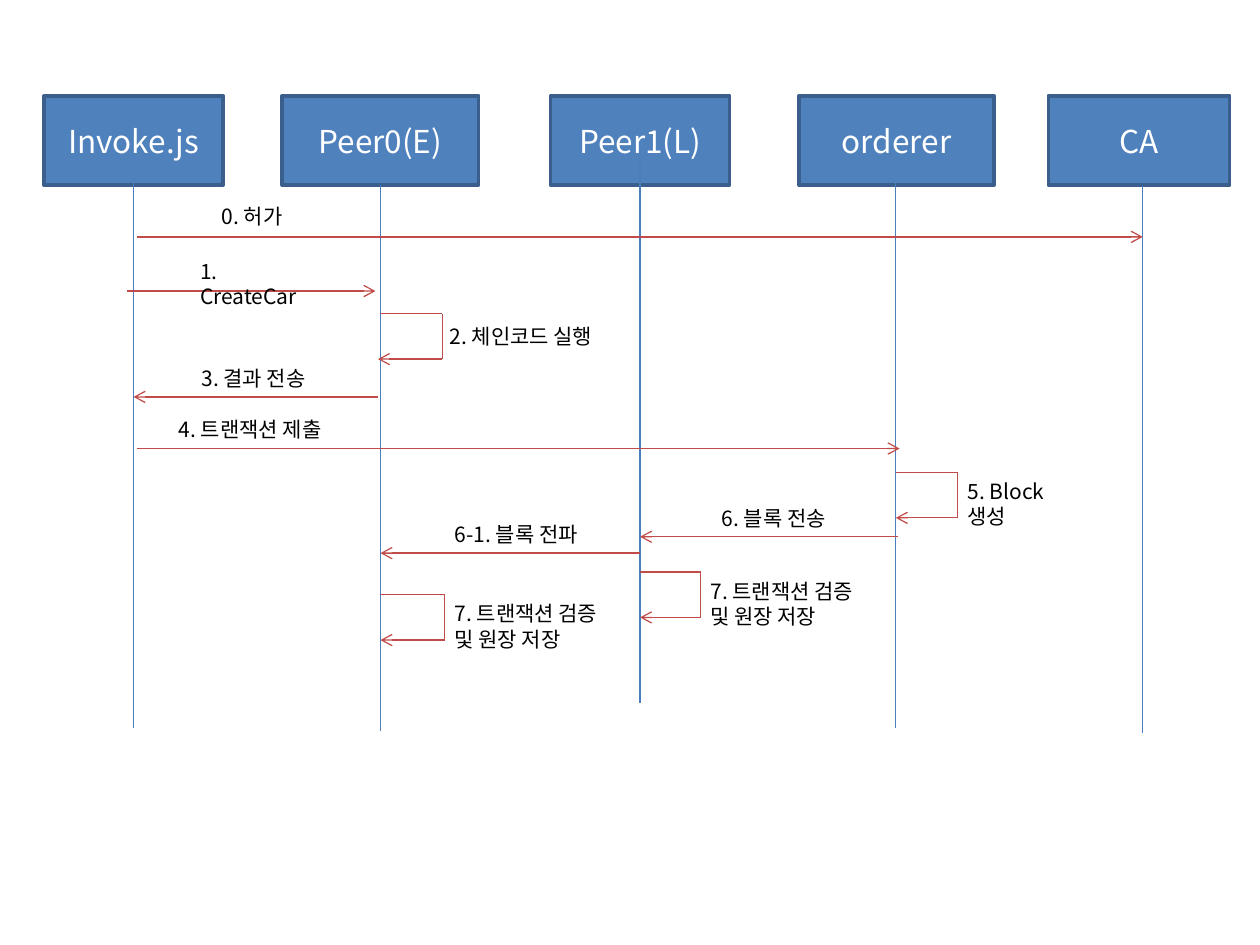
from dataclasses import dataclass

from lxml import etree
from pptx import Presentation
from pptx.dml.color import RGBColor
from pptx.enum.shapes import MSO_CONNECTOR, MSO_SHAPE
from pptx.enum.text import MSO_ANCHOR, PP_ALIGN
from pptx.oxml.ns import qn
from pptx.util import Inches, Pt


@dataclass(frozen=True)
class Theme:
    font: str = "Noto Sans CJK KR"
    head_fill: str = "4F81BD"
    head_line: str = "3A5F8C"
    lifeline: str = "4B7EBC"
    message: str = "BF4C48"
    head_text: str = "FFFFFF"
    label_text: str = "000000"
    head_size: int = 18
    label_size: int = 12
    head_border: float = 2
    stroke: float = 0.75


THEME = Theme()
HEAD_TOP, HEAD_HEIGHT = 0.76, 0.71
LOOP_HEIGHT = 0.36

# name, left, width, lifeline x, lifeline top, lifeline bottom
PARTICIPANTS = [
    ("Invoke.js", 0.35, 1.42, 1.06, 1.45, 5.78),
    ("Peer0(E)", 2.24, 1.56, 3.02, 1.47, 5.80),
    ("Peer1(L)", 4.37, 1.42, 5.08, 1.25, 5.58),
    ("orderer", 6.34, 1.55, 7.11, 1.45, 5.78),
    ("CA", 8.32, 1.44, 9.07, 1.48, 5.82),
]
MESSAGES = [
    (1.09, 9.07, 1.88),
    (1.01, 2.98, 2.31),
    (3.00, 1.06, 3.15),
    (1.09, 7.14, 3.56),
    (7.13, 5.08, 4.26),
    (5.08, 3.02, 4.39),
]
SELF_CALLS = [
    (3.02, 3.51, 2.49, 3.00),
    (7.11, 7.60, 3.75, 7.11),
    (5.08, 5.56, 4.54, 5.08),
    (3.02, 3.53, 4.72, 3.02),
]
LABELS = [
    (["0. 허가"], 1.66, 1.57, 0.85),
    (["1. CreateCar"], 1.49, 2.00, 1.10),
    (["2. 체인코드 실행"], 3.47, 2.52, 1.56),
    (["3. 결과 전송"], 1.50, 2.85, 1.22),
    (["4. 트랜잭션 제출"], 1.32, 3.26, 1.58),
    (["5. Block생성"], 7.58, 3.75, 1.10),
    (["6. 블록 전송"], 5.63, 3.96, 1.22),
    (["6-1. 블록 전파"], 3.51, 4.09, 1.39),
    (["7. 트랜잭션 검증", "및 원장 저장"], 5.54, 4.54, 1.60),
    (["7. 트랜잭션 검증", "및 원장 저장"], 3.51, 4.72, 1.60),
]


def write(paragraph, text, size, color):
    run = paragraph.add_run()
    run.text = text
    run.font.size = Pt(size)
    run.font.name = THEME.font
    run.font.color.rgb = RGBColor.from_string(color)
    etree.SubElement(run.font._element, qn("a:ea"), typeface=THEME.font)


def add_line(slide, start, end, color, arrow=False):
    line = slide.shapes.add_connector(
        MSO_CONNECTOR.STRAIGHT, *(Inches(v) for v in (*start, *end)))
    line.line.color.rgb = RGBColor.from_string(color)
    line.line.width = Pt(THEME.stroke)
    properties = line._element.spPr
    if arrow:
        etree.SubElement(properties.find(qn("a:ln")), qn("a:tailEnd"), type="arrow")
    etree.SubElement(properties, qn("a:effectLst"))


def add_head(slide, name, left, width):
    head = slide.shapes.add_shape(
        MSO_SHAPE.RECTANGLE,
        *(Inches(v) for v in (left, HEAD_TOP, width, HEAD_HEIGHT)))
    head.shadow.inherit = False
    head.fill.solid()
    head.fill.fore_color.rgb = RGBColor.from_string(THEME.head_fill)
    head.line.color.rgb = RGBColor.from_string(THEME.head_line)
    head.line.width = Pt(THEME.head_border)
    frame = head.text_frame
    frame.vertical_anchor = MSO_ANCHOR.MIDDLE
    frame.paragraphs[0].alignment = PP_ALIGN.CENTER
    write(frame.paragraphs[0], name, THEME.head_size, THEME.head_text)


def add_label(slide, lines, left, top, width):
    height = 0.1 + 0.2 * len(lines)
    box = slide.shapes.add_textbox(*(Inches(v) for v in (left, top, width, height)))
    frame = box.text_frame
    frame.word_wrap = True
    for index, text in enumerate(lines):
        paragraph = frame.add_paragraph() if index else frame.paragraphs[0]
        write(paragraph, text, THEME.label_size, THEME.label_text)


def add_self_call(slide, x, right, top, tip):
    bottom = top + LOOP_HEIGHT
    add_line(slide, (x, top), (right, top), THEME.message)
    add_line(slide, (right, top), (right, bottom), THEME.message)
    add_line(slide, (right, bottom), (tip, bottom), THEME.message, arrow=True)


prs = Presentation()
prs.slide_width, prs.slide_height = Inches(10), Inches(7.5)
slide = prs.slides.add_slide(prs.slide_layouts[6])

for name, left, width, *_ in PARTICIPANTS:
    add_head(slide, name, left, width)
for *_, x, top, bottom in PARTICIPANTS:
    add_line(slide, (x, top), (x, bottom), THEME.lifeline)
for start, end, y in MESSAGES:
    add_line(slide, (start, y), (end, y), THEME.message, arrow=True)
for call in SELF_CALLS:
    add_self_call(slide, *call)
for label in LABELS:
    add_label(slide, *label)

prs.save("out.pptx")
